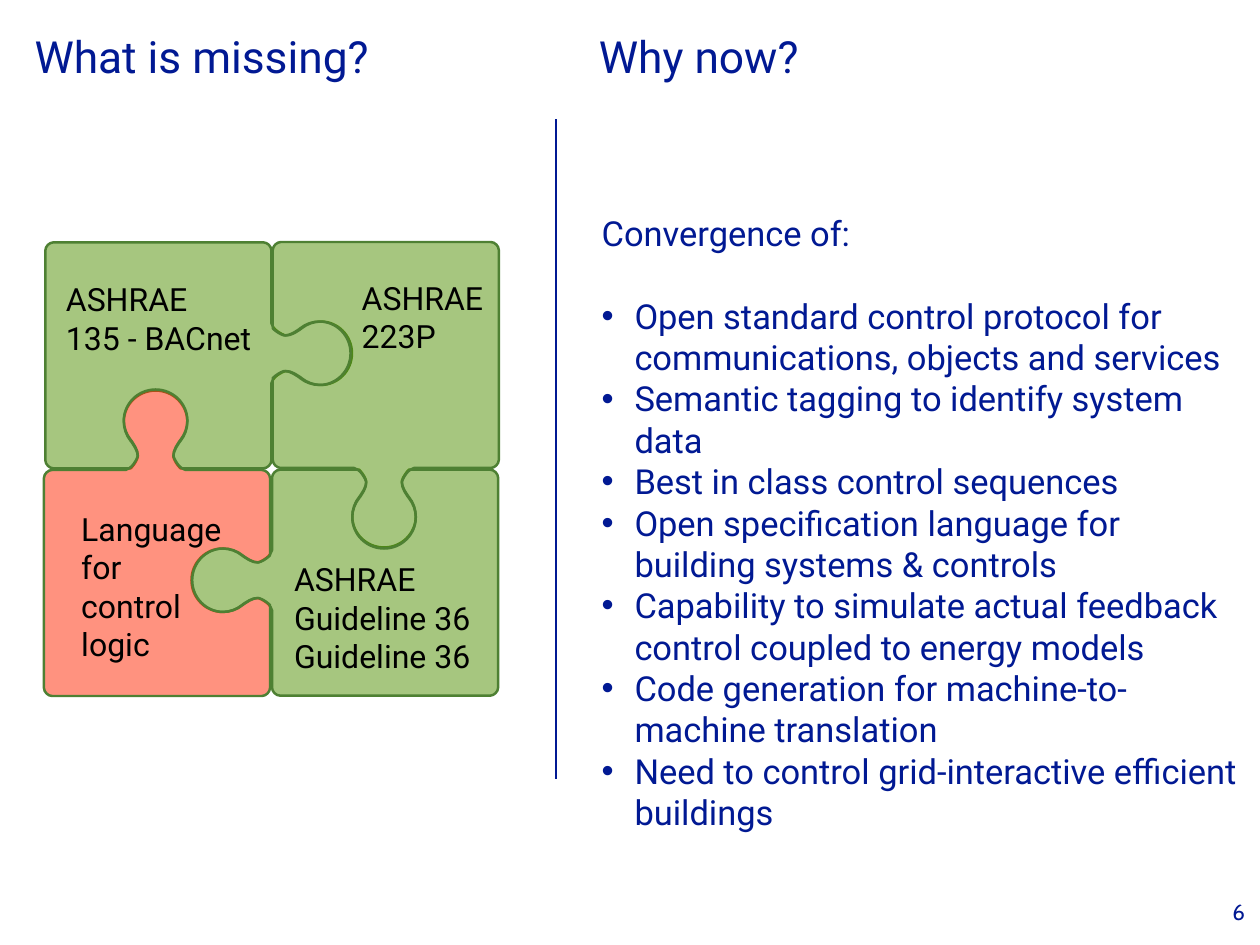
"""Build the puzzle slide: what is missing and why now."""
import math
from dataclasses import dataclass

from lxml import etree
from pptx import Presentation
from pptx import util as u
from pptx.dml import color
from pptx.enum import shapes, text
from pptx.oxml import ns


@dataclass(frozen=True)
class Theme:
    """Colours, fonts, type sizes and line widths."""
    navy: str = "011993"
    black: str = "000000"
    known: str = "4F8F00"
    missing: str = "FF2600"
    outline: str = "4E8033"
    font: str = "Roboto"
    number_font: str = "Cabin"
    title: int = 36
    body: int = 28
    label: int = 26
    number: int = 18
    edge: float = 2
    rule: float = 1.5


SIDE, CORNER, CLEARANCE = 6.48, 0.23, 0.08
# Half of a knob as cubic Bezier points: (distance out of the edge, distance from its centre)
HALF_KNOB = [(0, -.86), (.05, -.71), (.15, -.64), (.25, -.58), (.33, -.53), (.41, -.51),
             (.41, -.51), (.48, -.51), (.58, -.53), (.66, -.58), (.76, -.64), (.84, -.69),
             (.86, -.71), (1.02, -.84), (1.22, -.91), (1.42, -.91), (1.9, -.91),
             (2.31, -.51), (2.31, 0)]
SLOT_MOUTH = [(0, -.71), (.08, -.64), (.13, -.6)]
# A tab on the left stands unturned; the other sides are turns of it
TURN = {"left": 0, "top": 90, "right": 180, "bottom": 270}


def joint(kind):
    """Return the Bezier points of a tab (outwards) or a slot (inwards)."""
    half, sign = HALF_KNOB, 1
    if kind == "slot":
        half = SLOT_MOUTH + [(d - CLEARANCE, s) for d, s in HALF_KNOB[3:]]
        sign = -1
    return [(sign * d, s) for d, s in half + [(d, -s) for d, s in half[-2::-1]]]


def segments(points):
    """Split a Bezier chain into a line to its start and its curves."""
    return [points[:1]] + [points[i:i + 3] for i in range(1, len(points), 3)]


def piece_outline(left, top, joints):
    """Walk clockwise round a piece; joints maps a side to (kind, centre)."""
    half = SIDE / 2
    cx, cy, inner, pull = left + half, top + half, half - CORNER, half - CORNER / 2
    corner = [(half, inner), (half, pull), (pull, half), (inner, half)]
    outline = []
    for side, (nx, ny) in zip(("top", "right", "bottom", "left"),
                              ((0, -1), (1, 0), (0, 1), (-1, 0))):
        tx, ty = -ny, nx
        chains = [corner]
        if side in joints:
            kind, centre = joints[side]
            shift = (centre - cx) * tx + (centre - cy) * ty
            chains.insert(0, [(half + d, shift + s) for d, s in joint(kind)])
        for chain in chains:
            outline += segments([(cx + d * nx + s * tx, cy + d * ny + s * ty)
                                 for d, s in chain])
    return outline


def turn_back(outline, degrees):
    """Turn an outline anticlockwise about the middle of its bounds."""
    xs, ys = zip(*(pt for seg in outline for pt in seg))
    mx, my = (min(xs) + max(xs)) / 2, (min(ys) + max(ys)) / 2
    c, s = math.cos(math.radians(degrees)), math.sin(math.radians(degrees))
    return [[(mx + (x - mx) * c + (y - my) * s, my - (x - mx) * s + (y - my) * c)
             for x, y in seg] for seg in outline]


class Deck:
    """Holds the theme and the slide being drawn."""

    def __init__(self, slide, theme):
        """Keep the slide and its theme."""
        self.s, self.theme = slide, theme

    def text(self, box, lines, size, hue, font=None, inset=0.18, wrap=True):
        """Add a text box with one paragraph for each line."""
        sp = self.s.shapes.add_textbox(*map(u.Cm, box))
        tf = sp.text_frame
        frame = {f"margin_{edge}": u.Cm(inset) for edge in ("left", "top", "right", "bottom")}
        frame.update(word_wrap=wrap, vertical_anchor=text.MSO_ANCHOR.TOP)
        for name, value in frame.items():
            setattr(tf, name, value)
        for i, line in enumerate(lines):
            p = tf.paragraphs[0] if i == 0 else tf.add_paragraph()
            p.text = line
            for r in p.runs:
                for name, value in {"name": font or self.theme.font, "size": u.Pt(size)}.items():
                    setattr(r.font, name, value)
                r.font.color.rgb = color.RGBColor.from_string(hue)
        return tf.paragraphs

    def bullet(self, p, indent):
        """Give a paragraph a hanging bullet."""
        pPr = p._p.get_or_add_pPr()
        pPr.set("marL", str(u.Cm(indent)))
        pPr.set("indent", str(-u.Cm(indent)))
        etree.SubElement(pPr, ns.qn("a:buFont")).set("typeface", "Arial")
        etree.SubElement(pPr, ns.qn("a:buChar")).set("char", "•")

    def tab_stop(self, p, position):
        """Add a left tab stop to a paragraph."""
        tabs = etree.SubElement(p._p.get_or_add_pPr(), ns.qn("a:tabLst"))
        tab = etree.SubElement(tabs, ns.qn("a:tab"))
        tab.set("pos", str(u.Cm(position)))
        tab.set("algn", "l")

    def stroke(self, line, hue, width):
        """Set the colour and width of a line."""
        line.color.rgb = color.RGBColor.from_string(hue)
        line.width = u.Pt(width)

    def curves(self, outline):
        """Draw a closed freeform of lines (one point) and curves (three points)."""
        points = [(u.Cm(x), u.Cm(y)) for seg in outline for x, y in seg]
        builder = self.s.shapes.build_freeform(*points[0])
        builder.add_line_segments(points[1:], close=True)
        sp = builder.convert_to_shape()
        steps = iter(sp._element.findall(".//" + ns.qn("a:lnTo")))
        for seg in outline[1:]:
            first, *others = [next(steps) for _ in seg]
            if others:
                first.tag = ns.qn("a:cubicBezTo")
                for step in others:
                    first.append(step[0])
                    step.getparent().remove(step)
        return sp

    def piece(self, left, top, hue, joints):
        """Draw one half-transparent puzzle piece."""
        turn = next(TURN[side] for side, (kind, _) in joints.items() if kind == "tab")
        sp = self.curves(turn_back(piece_outline(left, top, joints), turn))
        sp.rotation = turn
        sp.shadow.inherit = False
        sp.fill.solid()
        sp.fill.fore_color.rgb = color.RGBColor.from_string(hue)
        rgb = sp._element.spPr.find(".//" + ns.qn("a:srgbClr"))
        etree.SubElement(rgb, ns.qn("a:alpha")).set("val", "50000")
        self.stroke(sp.line, self.theme.outline, self.theme.edge)

    def divider(self, x, top, bottom):
        """Draw a vertical line."""
        sp = self.s.shapes.add_connector(shapes.MSO_CONNECTOR.STRAIGHT,
                                         *map(u.Cm, (x, bottom, x, top)))
        self.stroke(sp.line, self.theme.navy, self.theme.rule)
        etree.SubElement(sp._element.spPr, ns.qn("a:effectLst"))


REASONS = [
    "Open standard control protocol for communications, objects and services",
    "Semantic tagging to identify system data",
    "Best in class control sequences",
    "Open specification language for building systems & controls",
    "Capability to simulate actual feedback control coupled to energy models",
    "Code generation for machine-to-machine translation",
    "Need to control grid-interactive efficient buildings",
]
UPPER, LOWER, WEST, EAST = 10.13, 16.64, 4.46, 11.01  # joint centres


def main():
    """Build and save the slide."""
    prs = Presentation()
    prs.slide_width, prs.slide_height = u.Cm(36.12), u.Cm(27.1)
    th = Theme()
    deck = Deck(prs.slides.add_slide(prs.slide_layouts[6]), th)

    title = deck.text((0.84, 0.69, 34.82, 4.88), ["What is missing?\tWhy now?"],
                      th.title, th.navy, inset=0.15)
    deck.tab_stop(title[0], 16.18)
    deck.text((35.18, 25.6, 0.64, 1), ["6"], th.number, th.navy, th.number_font, 0.15, False)

    for left, top, hue, joints in (
            (1.3, 6.95, th.known, {"right": ("tab", UPPER), "bottom": ("slot", WEST)}),
            (7.8, 13.47, th.known, {"top": ("slot", EAST), "left": ("tab", LOWER)}),
            (7.82, 6.94, th.known, {"left": ("slot", UPPER), "bottom": ("tab", EAST)}),
            (1.26, 13.48, th.missing, {"top": ("tab", WEST), "right": ("slot", LOWER)})):
        deck.piece(left, top, hue, joints)

    for box, lines in (
            ((1.71, 7.85, 6.05, 2.8), ["ASHRAE ", "135 - BACnet"]),
            ((10.19, 7.8, 4.52, 3.5), ["ASHRAE\v223P"]),
            ((2.15, 14.43, 5.18, 5.28), ["Language for", "control", "logic"]),
            ((8.25, 15.88, 5.64, 2.8), ["ASHRAE Guideline 36", "Guideline 36"])):
        deck.text(box, lines, th.label, th.black)

    heading, *reasons = deck.text((17.07, 5.89, 18.92, 17.12), ["Convergence of:", *REASONS],
                                  th.body, th.navy)
    heading.space_after = u.Pt(34)
    for p in reasons:
        deck.bullet(p, 0.94)
    deck.divider(15.94, 3.4, 22.33)
    prs.save("out.pptx")


main()
